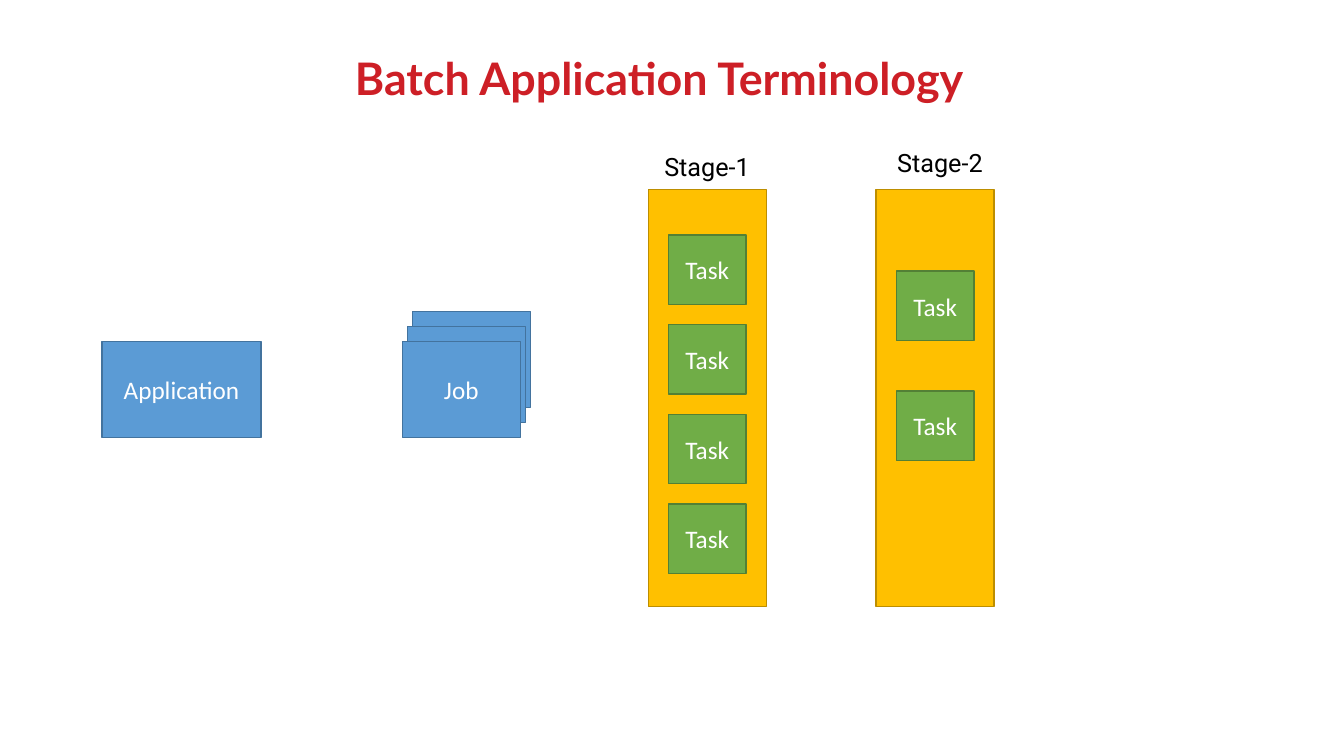
import pptx
import pptx.dml.color
import pptx.enum.shapes
import pptx.enum.text
import pptx.util

Inches, Pt = pptx.util.Inches, pptx.util.Pt
RGBColor = pptx.dml.color.RGBColor
ALIGN, ANCHOR = pptx.enum.text.PP_ALIGN, pptx.enum.text.MSO_ANCHOR

RED = RGBColor(0xCD, 0x1F, 0x26)
BLACK = RGBColor(0x00, 0x00, 0x00)
WHITE = RGBColor(0xFF, 0xFF, 0xFF)
BLUE, BLUE_EDGE = RGBColor(0x5B, 0x9B, 0xD5), RGBColor(0x43, 0x73, 0x9E)
GOLD, GOLD_EDGE = RGBColor(0xFF, 0xC0, 0x00), RGBColor(0xBD, 0x8E, 0x00)
GREEN, GREEN_EDGE = RGBColor(0x70, 0xAD, 0x47), RGBColor(0x53, 0x80, 0x35)

BOX_W, BOX_H = 1.17, 0.95
STAGE_H = 4.14
TASK_W, TASK_H = 0.77, 0.69


def add_run(p, text, font, size, color, bold=False):
    r = p.add_run()
    r.text = text
    r.font.name, r.font.size, r.font.bold = font, Pt(size), bold
    r.font.color.rgb = color


def add_box(shapes, x, y, w, h, fill, edge, text=""):
    sp = shapes.add_shape(pptx.enum.shapes.MSO_SHAPE.RECTANGLE,
                          Inches(x), Inches(y), Inches(w), Inches(h))
    sp.shadow.inherit = False
    sp.fill.solid()
    sp.fill.fore_color.rgb = fill
    sp.line.color.rgb = edge
    sp.line.width = Pt(1)
    if text:
        tf = sp.text_frame
        tf.vertical_anchor = ANCHOR.MIDDLE
        p = tf.paragraphs[0]
        p.alignment = ALIGN.CENTER
        add_run(p, text, "Calibri", 18, WHITE)


def add_title(s, x, y, w, h, text):
    sp = s.shapes.title
    sp.left, sp.top, sp.width, sp.height = map(Inches, (x, y, w, h))
    tf = sp.text_frame
    tf.vertical_anchor = ANCHOR.BOTTOM
    p = tf.paragraphs[0]
    p.alignment = ALIGN.CENTER
    p.line_spacing = 0.9
    add_run(p, text, "Lato", 32, RED, bold=True)


def add_jobs(s, x, y, count=3):
    """Stack job boxes from back to front, with the front one at x, y."""
    shapes = s.shapes.add_group_shape().shapes
    for i in reversed(range(count)):
        add_box(shapes, x + 0.05 * i, y - 0.15 * i, BOX_W, BOX_H,
                BLUE, BLUE_EDGE, "" if i else "Job")


def add_stage(s, x, y, name, label_dx, label_dy, count, first, pitch):
    """Draw a stage at x, y with its label and a column of tasks."""
    shapes = s.shapes.add_group_shape().shapes
    add_box(shapes, x, y, BOX_W, STAGE_H, GOLD, GOLD_EDGE)
    for i in range(count):
        add_box(shapes, x + (BOX_W - TASK_W) / 2, y + first + pitch * i,
                TASK_W, TASK_H, GREEN, GREEN_EDGE, "Task")
    label = shapes.add_textbox(Inches(x + label_dx), Inches(y + label_dy),
                               Inches(1.12), Inches(0.4))
    label.text_frame.word_wrap = True
    add_run(label.text_frame.paragraphs[0], name, "Roboto", 18, BLACK)


def main():
    prs = pptx.Presentation()
    prs.slide_width, prs.slide_height = Inches(13.33), Inches(7.5)
    s = prs.slides.add_slide(prs.slide_layouts[0])
    subtitle = s.placeholders[1].element
    subtitle.getparent().remove(subtitle)

    add_title(s, 1.54, 0.35, 10, 0.74, "Batch Application Terminology")
    add_stage(s, 6.43, 1.88, "Stage-1", 0.06, -0.43, 4, 0.45, 0.89)
    add_stage(s, 8.69, 1.88, "Stage-2", 0.11, -0.47, 2, 0.81, 1.19)
    add_box(s.shapes, 1.01, 3.39, 1.58, BOX_H, BLUE, BLUE_EDGE, "Application")
    add_jobs(s, 3.99, 3.39)
    prs.save("out.pptx")


if __name__ == "__main__":
    main()
